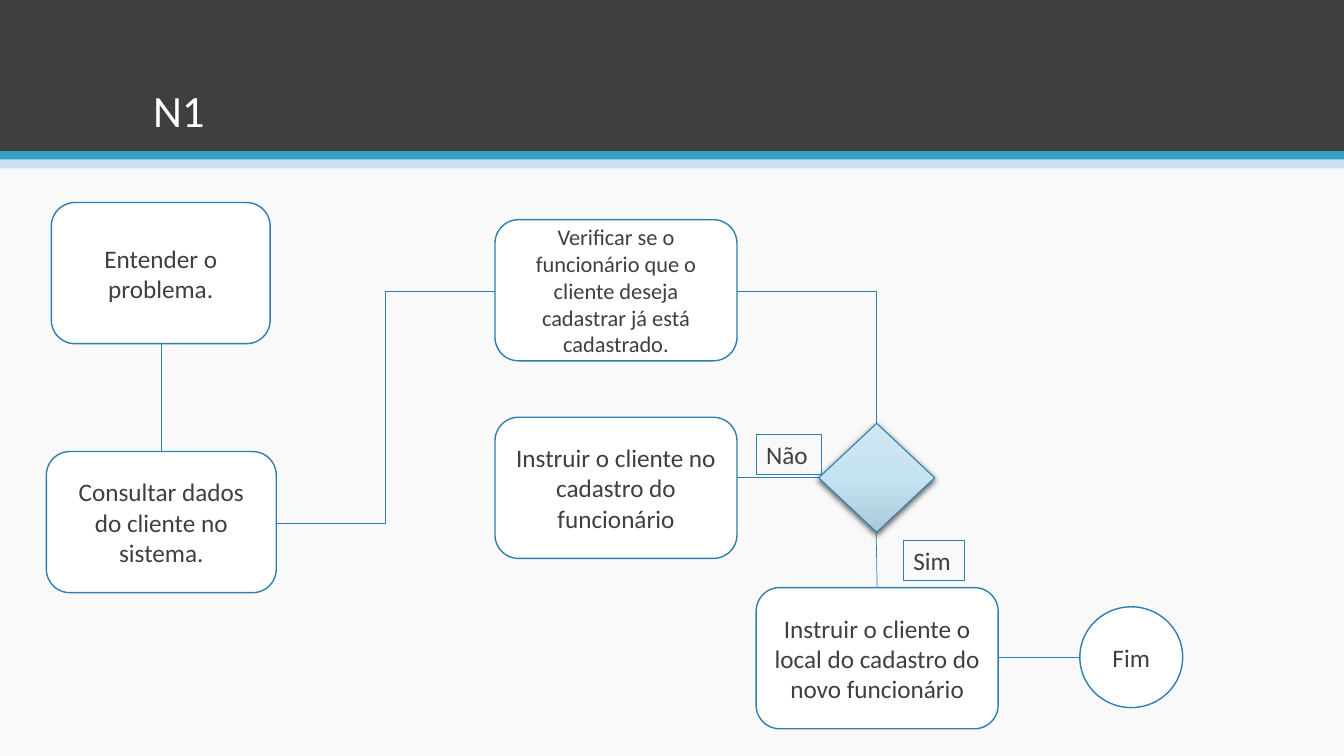
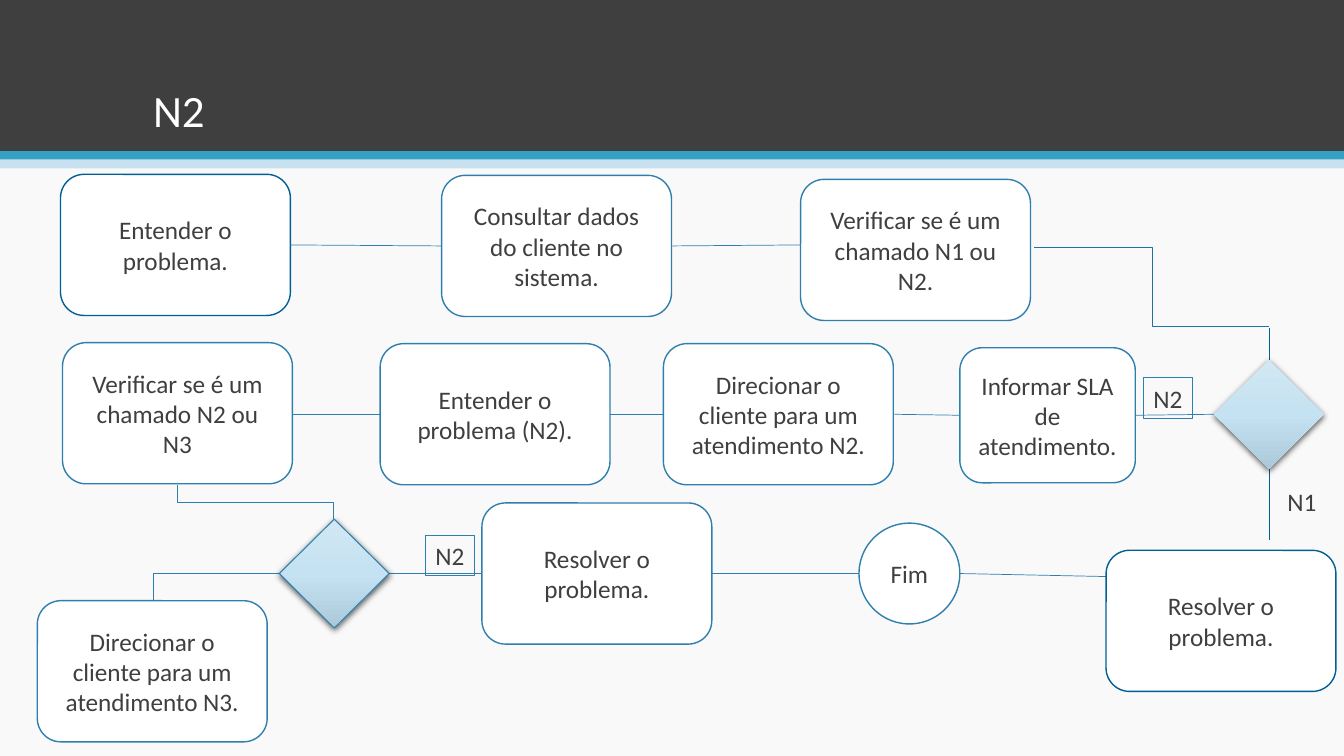
from copy import deepcopy

from pptx import Presentation
from pptx.dml.color import RGBColor
from pptx.enum.shapes import MSO_CONNECTOR as LINK, MSO_SHAPE as SHAPE
from pptx.enum.text import MSO_ANCHOR as ANCHOR, MSO_AUTO_SIZE as FIT, PP_ALIGN as ALIGN
from pptx.oxml import parse_xml
from pptx.oxml.ns import nsdecls, qn
from pptx.util import Inches, Pt

# Shared look
FONT = "Calibri"
DARK, WHITE, PAPER = "3F3F3F", "FFFFFF", "F9F9F9"
BLUE, MID_BLUE, DEEP_BLUE = "2E7FAD", "1F73A1", "006095"
BANDS = [(0, 1.5, DARK), (1.5, 0.09, "34A1C4"), (1.58, 0.09, "C7E1F0")]
DIAMOND_STOPS = [(0, "D1E7F3"), (0.5, "C5E2F2"), (1, "ACC9DB")]
SHADOW = (f'<a:outerShdw {nsdecls("a")} blurRad="57150" dist="19050" dir="5400000" '
          'algn="ctr" rotWithShape="0"><a:srgbClr val="000000">'
          '<a:alpha val="63000"/></a:srgbClr></a:outerShdw>')
WIDE, STEP, TALL = 2.4, 2.28, 1.4
ROUND, CIRCLE = SHAPE.ROUNDED_RECTANGLE, SHAPE.OVAL

# Steps: text, shape, left, top, width, height, text size, line colour
# Labels: text, left, top, width, line colour
# Diamonds: left, top, width, line colour
# Links: route, start, end, colour ("across" leaves sideways, "down" leaves downwards)
flows = [
    {
        "title": "N1",
        "steps": [
            ("Entender o problema.", ROUND, 0.51, 2.01, 2.17, TALL, 18, BLUE),
            ("Consultar dados do cliente no sistema.", ROUND, 0.46, 4.48, STEP, TALL, 18, BLUE),
            ("Verificar se o funcionário que o cliente deseja cadastrar já está cadastrado.",
             ROUND, 4.91, 2.18, WIDE, TALL, 16, BLUE),
            ("Instruir o cliente no cadastro do funcionário", ROUND, 4.91, 4.14, WIDE, TALL, 18, BLUE),
            ("Instruir o cliente o local do cadastro do novo funcionário",
             ROUND, 7.5, 5.83, WIDE, TALL, 18, BLUE),
            ("Fim", CIRCLE, 10.71, 6.02, 1.02, 1, 18, BLUE),
        ],
        "diamonds": [(8.12, 4.2, 1.15, BLUE)],
        "labels": [("Não", 7.5, 4.31, 0.65, BLUE), ("Sim", 8.96, 5.36, 0.61, BLUE)],
        "links": [
            ("straight", (1.6, 3.41), (1.6, 4.48), BLUE),
            ("across", (2.74, 5.19), (4.91, 2.89), BLUE),
            ("corner", (7.31, 2.89), (8.69, 4.2), BLUE),
            ("straight", (8.12, 4.74), (7.31, 4.74), BLUE),
            ("straight", (8.7, 5.83), (8.69, 5.28), BLUE),
            ("straight", (9.9, 6.52), (10.71, 6.52), BLUE),
        ],
    },
    {
        "title": "N2",
        "steps": [
            ("Entender o problema.", ROUND, 0.6, 1.73, STEP, TALL, 18, DEEP_BLUE),
            ("Consultar dados do cliente no sistema.", ROUND, 4.38, 1.74, STEP, TALL, 18, BLUE),
            ("Verificar se é um chamado N1 ou N2.", ROUND, 7.94, 1.78, STEP, TALL, 18, BLUE),
            ("Informar SLA de atendimento.", ROUND, 9.52, 3.45, 1.74, 1.34, 18, BLUE),
            ("Direcionar o cliente para um atendimento N2.", ROUND, 6.58, 3.41, STEP, TALL, 18, BLUE),
            ("Entender o problema (N2).", ROUND, 3.77, 3.41, STEP, TALL, 18, BLUE),
            ("Verificar se é um chamado N2 ou N3", ROUND, 0.62, 3.4, STEP, TALL, 18, BLUE),
            ("Direcionar o cliente para um atendimento N3.", ROUND, 0.37, 5.96, STEP, TALL, 18, BLUE),
            ("Resolver o problema.", ROUND, 4.78, 4.99, STEP, TALL, 18, BLUE),
            ("Fim", CIRCLE, 8.52, 5.19, 1, 1, 18, BLUE),
            ("Resolver o problema.", ROUND, 10.97, 5.46, STEP, TALL, 18, DEEP_BLUE),
        ],
        "diamonds": [(12.04, 3.57, 1.09, None), (2.77, 5.15, 1.09, BLUE)],
        "labels": [("N1", 12.67, 4.78, 0.49, None), ("N2", 11.34, 3.75, 0.49, BLUE),
                   ("N2", 4.22, 5.31, 0.49, BLUE)],
        "links": [
            ("straight", (2.88, 2.43), (4.38, 2.44), BLUE),
            ("straight", (6.67, 2.44), (7.94, 2.43), BLUE),
            ("across", (10.26, 2.45), (12.59, 3.24), MID_BLUE),
            ("straight", (12.59, 3.25), (12.59, 3.57), DEEP_BLUE),
            ("straight", (12.59, 4.65), (12.59, 5.36), DEEP_BLUE),
            ("straight", (12.04, 4.11), (11.26, 4.12), BLUE),
            ("straight", (9.52, 4.12), (8.87, 4.11), BLUE),
            ("straight", (6.05, 4.11), (6.58, 4.11), BLUE),
            ("straight", (2.9, 4.11), (3.77, 4.11), BLUE),
            ("down", (1.76, 4.81), (3.31, 5.15), BLUE),
            ("corner", (2.77, 5.69), (1.52, 5.96), BLUE),
            ("straight", (3.85, 5.69), (4.78, 5.69), BLUE),
            ("straight", (7.06, 5.69), (8.52, 5.69), BLUE),
            ("straight", (10.97, 5.72), (9.52, 5.69), BLUE),
        ],
    },
]


def color(hex_value):
    return RGBColor.from_string(hex_value)


def write(box, text, size, hex_value, align, anchor):
    frame = box.text_frame
    frame.text = text
    frame.word_wrap = True
    frame.vertical_anchor = anchor
    para = frame.paragraphs[0]
    para.alignment = align
    span = para.runs[0]
    span.font.name = FONT
    span.font.size = Pt(size)
    span.font.color.rgb = color(hex_value)
    return frame


deck = Presentation()
deck.slide_width, deck.slide_height = Inches(13.33), Inches(7.5)
backdrop = deck.slide_master.background.fill
backdrop.solid()
backdrop.fore_color.rgb = color(PAPER)

for flow in flows:
    page = deck.slides.add_slide(deck.slide_layouts[6])
    shapes = page.shapes

    # Header bands and title
    for top, height, tint in BANDS:
        band = shapes.add_shape(SHAPE.RECTANGLE, 0, Inches(top), deck.slide_width, Inches(height))
        band.shadow.inherit = False
        band.fill.solid()
        band.fill.fore_color.rgb = color(tint)
        band.line.fill.background()
    title = shapes.add_textbox(Inches(1.42), Inches(0.28), Inches(10.5), Inches(1.13))
    frame = write(title, flow["title"], 32, WHITE, ALIGN.LEFT, ANCHOR.BOTTOM)
    frame.paragraphs[0].line_spacing = 0.9

    # Links
    for route, (x1, y1), (x2, y2), tint in flow["links"]:
        if route == "down":
            # A quarter turn about the centre swaps width and height
            mid_x, mid_y = (x1 + x2) / 2, (y1 + y2) / 2
            half_w, half_h = (y2 - y1) / 2, (x2 - x1) / 2
            x1, x2 = mid_x + half_w, mid_x - half_w
            y1, y2 = mid_y - half_h, mid_y + half_h
        kind = LINK.STRAIGHT if route == "straight" else LINK.ELBOW
        link = shapes.add_connector(kind, Inches(x1), Inches(y1), Inches(x2), Inches(y2))
        link.line.color.rgb = color(tint)
        link.line.width = Pt(0.5)
        outline = link._element.spPr
        if route == "down":
            outline.find(qn("a:xfrm")).set("rot", "16200000")
        if route == "corner":
            outline.find(qn("a:prstGeom")).set("prst", "bentConnector2")
        outline.append(parse_xml(f'<a:effectLst {nsdecls("a")}/>'))

    # Decision diamonds
    for left, top, width, tint in flow["diamonds"]:
        diamond = shapes.add_shape(SHAPE.DIAMOND, Inches(left), Inches(top), Inches(width), Inches(1.08))
        diamond.fill.gradient()
        diamond.fill.gradient_angle = 270
        stop_list = diamond._element.spPr.find(".//" + qn("a:gsLst"))
        stop_list.insert(1, deepcopy(stop_list[0]))
        for stop, (position, shade) in zip(diamond.fill.gradient_stops, DIAMOND_STOPS):
            stop.position = position
            stop.color.rgb = color(shade)
        if tint:
            diamond.line.color.rgb = color(tint)
            diamond.line.width = Pt(0.75)
        else:
            diamond.line.fill.background()
        diamond.shadow.inherit = False
        diamond._element.spPr.find(qn("a:effectLst")).append(parse_xml(SHADOW))

    # Steps
    for text, kind, left, top, width, height, size, tint in flow["steps"]:
        step = shapes.add_shape(kind, Inches(left), Inches(top), Inches(width), Inches(height))
        step.shadow.inherit = False
        step.fill.solid()
        step.fill.fore_color.rgb = color(WHITE)
        step.line.color.rgb = color(tint)
        step.line.width = Pt(1)
        write(step, text, size, DARK, ALIGN.CENTER, ANCHOR.MIDDLE)

    # Branch labels
    for text, left, top, width, tint in flow["labels"]:
        label = shapes.add_textbox(Inches(left), Inches(top), Inches(width), Inches(0.4))
        frame = write(label, text, 18, DARK, ALIGN.LEFT, ANCHOR.TOP)
        frame.word_wrap = False
        frame.auto_size = FIT.SHAPE_TO_FIT_TEXT
        if tint:
            label.line.color.rgb = color(tint)
            label.line.width = Pt(0.75)

deck.save("out.pptx")
